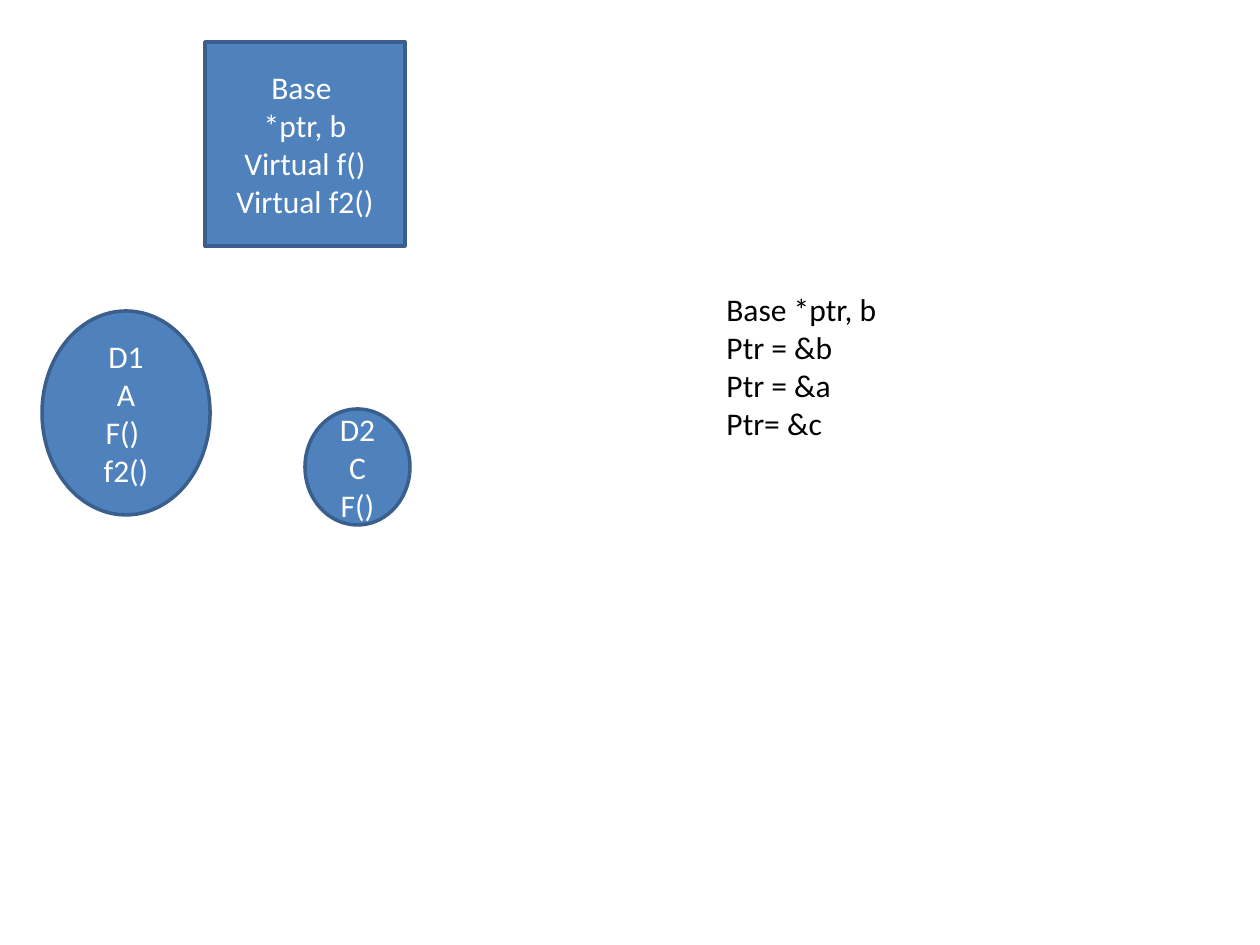
from pptx import Presentation
from pptx.dml.color import RGBColor
from pptx.enum.shapes import MSO_SHAPE
from pptx.enum.text import MSO_ANCHOR, MSO_AUTO_SIZE, PP_ALIGN
from pptx.util import Emu, Pt

RECTANGLE, OVAL = MSO_SHAPE.RECTANGLE, MSO_SHAPE.OVAL
LEFT, CENTER = PP_ALIGN.LEFT, PP_ALIGN.CENTER
MIDDLE = MSO_ANCHOR.MIDDLE
GROW = MSO_AUTO_SIZE.SHAPE_TO_FIT_TEXT

EMU_PER_PX = 914400 // 126
SLIDE_WIDTH, SLIDE_HEIGHT = 1260, 945
BLANK_LAYOUT = 6
COLORS = {"fill": "4F81BD", "outline": "3A5F8C", "light": "FFFFFF", "dark": "000000"}


def px(*lengths):
    return [Emu(length * EMU_PER_PX) for length in lengths]


def color(name):
    return RGBColor.from_string(COLORS[name])


def write_text(text_frame, text, *, font="Calibri", size=18, ink="dark", align=LEFT):
    """Fill the frame with one paragraph per line of text."""
    text_frame.word_wrap = True
    text_frame.text = text
    for paragraph in text_frame.paragraphs:
        paragraph.alignment = align
        for run in paragraph.runs:
            run.font.name = font
            run.font.size = Pt(size)
            run.font.color.rgb = color(ink)


class ClassDiagram:
    """Holds the slide and the outline style of its class shapes."""

    def __init__(self, slide, line_width=2):
        self.slide = slide
        self.line_width = Pt(line_width)

    def add_class(self, kind, box, text):
        shape = self.slide.shapes.add_shape(kind, *px(*box))
        shape.shadow.inherit = False
        shape.fill.solid()
        shape.fill.fore_color.rgb = color("fill")
        shape.line.color.rgb = color("outline")
        shape.line.width = self.line_width
        shape.text_frame.vertical_anchor = MIDDLE
        write_text(shape.text_frame, text, ink="light", align=CENTER)

    def add_code(self, box, text):
        text_frame = self.slide.shapes.add_textbox(*px(*box)).text_frame
        write_text(text_frame, text)
        text_frame.auto_size = GROW


def main():
    presentation = Presentation()
    presentation.slide_width, presentation.slide_height = px(SLIDE_WIDTH, SLIDE_HEIGHT)
    slide = presentation.slides.add_slide(presentation.slide_layouts[BLANK_LAYOUT])

    diagram = ClassDiagram(slide)
    diagram.add_class(RECTANGLE, (205, 42, 200, 204), "Base \n*ptr, b\nVirtual f()\nVirtual f2()")
    diagram.add_class(OVAL, (42, 311, 168, 204), "D1\nA\nF() \nf2()")
    diagram.add_class(OVAL, (305, 409, 105, 116), "D2\nC\nF()")
    diagram.add_code((714, 284, 284, 204), "Base *ptr, b\nPtr = &b\nPtr = &a\nPtr= &c")

    presentation.save("out.pptx")


if __name__ == "__main__":
    main()
